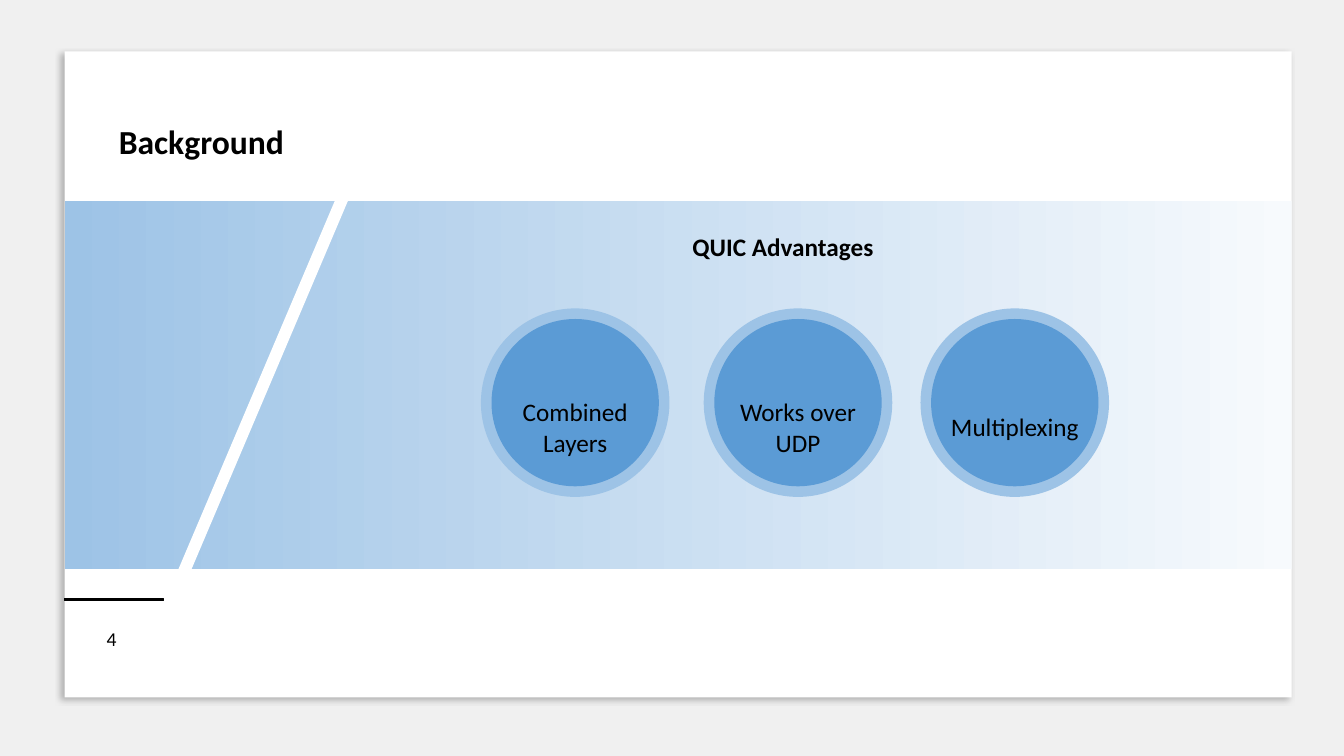
import lxml.etree
import pptx
import pptx.dml.color
import pptx.enum.shapes
import pptx.enum.text
import pptx.oxml
import pptx.oxml.ns
import pptx.util

Inches = pptx.util.Inches
RGBColor = pptx.dml.color.RGBColor
SHAPE = pptx.enum.shapes.MSO_SHAPE
ALIGN = pptx.enum.text.PP_ALIGN

BACKDROP = RGBColor(0xF0, 0xF0, 0xF0)
WHITE = RGBColor(0xFF, 0xFF, 0xFF)
BLACK = RGBColor(0x00, 0x00, 0x00)
BAND_PALE = RGBColor(0xF7, 0xFA, 0xFD)
LIGHT_BLUE = RGBColor(0x9D, 0xC3, 0xE6)
BLUE = RGBColor(0x5B, 0x9B, 0xD5)

ADVANTAGES = [(4.77, "Combined\vLayers"), (6.98, "Works over UDP"), (9.13, "Multiplexing")]
CARD_SHADOW = (
    '<a:effectLst xmlns:a="http://schemas.openxmlformats.org/drawingml/2006/main">'
    '<a:outerShdw blurRad="50800" dist="38100" dir="8100000" algn="tr" rotWithShape="0">'
    '<a:srgbClr val="000000"><a:alpha val="25000"/></a:srgbClr>'
    '</a:outerShdw></a:effectLst>'
)


def add_plain(shapes, preset, left, top, width, height, color):
    """Add a solid shape with neither line nor shadow."""
    plain = shapes.add_shape(preset, Inches(left), Inches(top), Inches(width), Inches(height))
    plain.shadow.inherit = False
    plain.fill.solid()
    plain.fill.fore_color.rgb = color
    plain.line.fill.background()
    return plain


def add_label(shapes, left, top, width, height, text, size, bold=False, align=ALIGN.LEFT):
    """Add a wrapped black label, centred vertically in its box."""
    label = shapes.add_textbox(Inches(left), Inches(top), Inches(width), Inches(height))
    frame = label.text_frame
    frame.word_wrap = True
    frame.vertical_anchor = pptx.enum.text.MSO_ANCHOR.MIDDLE
    frame.text = text
    frame.paragraphs[0].alignment = align
    for run in frame.paragraphs[0].runs:
        run.font.name = "Calibri"
        run.font.size = pptx.util.Pt(size)
        run.font.bold = bold
        run.font.color.rgb = BLACK


def add_card(shapes, left, top, width, height):
    """Add the white card with its soft shadow, title and page number."""
    card = add_plain(shapes, SHAPE.RECTANGLE, left, top, width, height, WHITE)
    properties = card._element.spPr
    properties.remove(properties.find(pptx.oxml.ns.qn("a:effectLst")))
    properties.append(pptx.oxml.parse_xml(CARD_SHADOW))
    add_label(shapes, left + 0.44, top + 0.64, 2.44, 0.5, "Background", 24, bold=True)
    add_label(shapes, left + 0.32, top + 5.66, 0.34, 0.34, "4", 14)
    page_rule = add_plain(shapes, SHAPE.RECTANGLE, left, top + 5.43, 0.98, 0.02, BLACK)
    page_rule.line.color.rgb = BLACK
    page_rule.line.width = pptx.util.Pt(1)


def add_band(shapes, left, top, width, height):
    """Add the gradient band, its slanted divider and its heading."""
    band = add_plain(shapes, SHAPE.RECTANGLE, left, top, width, height, LIGHT_BLUE)
    band.fill.gradient()
    band.fill.gradient_angle = 180
    for stop, color in zip(band.fill.gradient_stops, (BAND_PALE, LIGHT_BLUE)):
        stop.color.rgb = color
    divider = add_plain(shapes, SHAPE.RECTANGLE, left + 1.94, top - 0.71, 0.12, 4.94, WHITE)
    divider.rotation = 23
    add_label(shapes, left + 6.13, top + 0.25, 2.23, 0.4, "QUIC Advantages", 18, bold=True)


def add_advantage(shapes, left, top, diameter, text):
    """Add one ringed disc with its caption as a group."""
    ring = 0.105
    disc = diameter - 2 * ring
    parts = shapes.add_group_shape().shapes
    add_plain(parts, SHAPE.OVAL, left, top, diameter, diameter, LIGHT_BLUE)
    add_plain(parts, SHAPE.OVAL, left + ring, top + ring, disc, disc, BLUE)
    add_label(parts, left + ring, top + 0.82, disc, 0.71, text, 18, align=ALIGN.CENTER)


def main():
    """Build the slide and save it."""
    deck = pptx.Presentation()
    deck.slide_width, deck.slide_height = Inches(13.33), Inches(7.5)
    slide = deck.slides.add_slide(deck.slide_layouts[6])
    slide.background.fill.solid()
    slide.background.fill.fore_color.rgb = BACKDROP
    add_card(slide.shapes, 0.64, 0.51, 12.17, 6.41)
    add_band(slide.shapes, 0.64, 1.99, 12.17, 3.66)
    for left, text in ADVANTAGES:
        add_advantage(slide.shapes, left, 3.06, 1.87, text)
    deck.save("out.pptx")


if __name__ == "__main__":
    main()
